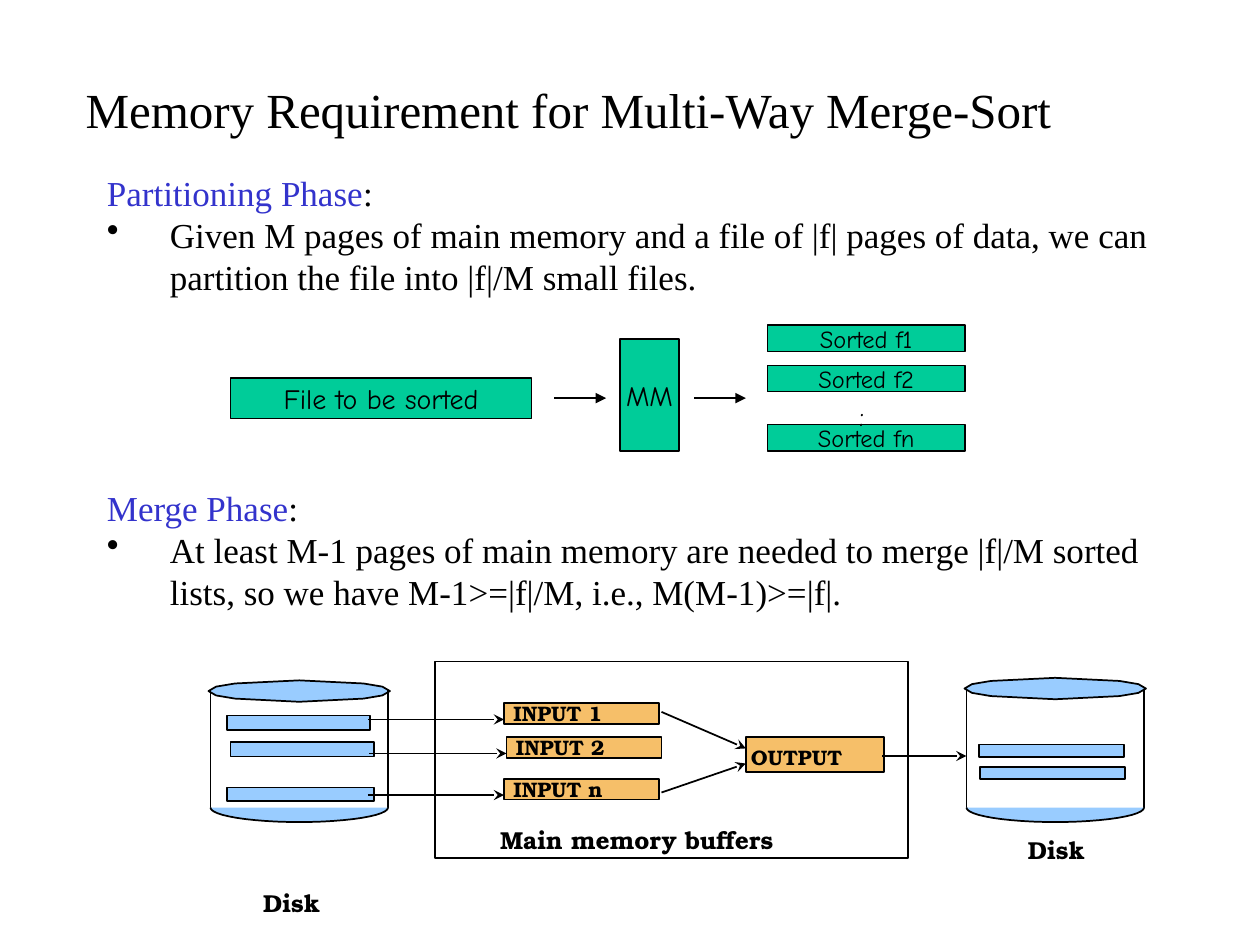
from math import cos, pi, sin
from typing import NamedTuple, Optional

from lxml import etree
from pptx import Presentation
from pptx.dml.color import RGBColor
from pptx.enum.shapes import MSO_CONNECTOR, MSO_SHAPE
from pptx.enum.text import MSO_ANCHOR, MSO_AUTO_SIZE, PP_ALIGN
from pptx.oxml.ns import qn
from pptx.util import Emu, Inches, Pt

RECT = MSO_SHAPE.RECTANGLE
LINE = MSO_CONNECTOR.STRAIGHT
LEFT, MID = PP_ALIGN.LEFT, PP_ALIGN.CENTER
CENTER = MSO_ANCHOR.MIDDLE
FIXED = MSO_AUTO_SIZE.NONE

BLACK = RGBColor(0x00, 0x00, 0x00)
BLUE = RGBColor(0x33, 0x33, 0xCC)
GREEN = RGBColor(0x00, 0xCC, 0x99)
SKY = RGBColor(0x99, 0xCC, 0xFF)
AMBER = RGBColor(0xF6, 0xBF, 0x69)

SERIF, HAND, SLAB = "Times New Roman", "Comic Neue", "TeX Gyre Bonum"

# The slide is a grid of 100 columns by 75 square rows
COLS, ROWS = 100, 75
CELL = Inches(0.1)


class Box(NamedTuple):
    x: float
    y: float
    w: float
    h: float
    text: str = ""
    size: float = 14


class Link(NamedTuple):
    x: float
    y: float
    to_x: float
    to_y: float
    head: Optional[str] = None


class Disk(NamedTuple):
    x: float
    lid: float
    name: Box
    bars: list


def grid(*cells: float) -> list:
    return [Emu(round(cell * CELL)) for cell in cells]


def write(para, text: str, face: str = SERIF, size: float = 20,
          color: RGBColor = BLACK, bold: bool = False, align=LEFT) -> None:
    para.alignment = align
    run = para.add_run()
    run.text = text
    font = run.font
    font.name, font.size, font.bold = face, Pt(size), bold
    font.color.rgb = color


def paint(shape, fill: Optional[RGBColor], width: float) -> None:
    shape.shadow.inherit = False
    if fill is None:
        shape.fill.background()
    else:
        shape.fill.solid()
        shape.fill.fore_color.rgb = fill
    shape.line.color.rgb = BLACK
    shape.line.width = Pt(width)


def block(box: Box, fill: Optional[RGBColor], width: float = 1, inset: float = 0,
          drop: float = 0, **style) -> None:
    shape = slide.shapes.add_shape(RECT, *grid(*box[:4]))
    paint(shape, fill, width)
    if box.text:
        frame = shape.text_frame
        frame.word_wrap = False
        frame.vertical_anchor = CENTER
        frame.margin_left, frame.margin_top = grid(inset, drop)
        frame.margin_right = frame.margin_bottom = 0
        write(frame.paragraphs[0], box.text, size=box.size, **style)


def label(box: Box, wrap: bool = False, **style) -> None:
    frame = slide.shapes.add_textbox(*grid(*box[:4])).text_frame
    frame.word_wrap = wrap
    write(frame.paragraphs[0], box.text, size=box.size, **style)


def link(item: Link, width: float = 1) -> None:
    line = slide.shapes.add_connector(LINE, *grid(*item[:4]))
    line.line.color.rgb = BLACK
    line.line.width = Pt(width)
    props = line._element.spPr
    if item.head:
        etree.SubElement(props.find(qn("a:ln")), qn("a:tailEnd"), type=item.head)
    etree.SubElement(props, qn("a:effectLst"))


def curve(points: list, close: bool) -> None:
    spots = [tuple(grid(*point)) for point in points]
    path = slide.shapes.build_freeform(*spots[0], scale=1.0)
    path.add_line_segments(spots[1:], close=close)
    paint(path.convert_to_shape(), SKY, 1)


def phase(box: Box, name: str) -> None:
    frame = slide.shapes.add_textbox(*grid(*box[:4])).text_frame
    frame.word_wrap = True
    head, item = frame.paragraphs[0], frame.add_paragraph()
    write(head, name, color=BLUE)
    write(head, ":")
    write(item, box.text)
    for para, tag in ((head, "a:buNone"), (item, "a:buChar")):
        props = para._p.get_or_add_pPr()
        props.set("marL", str(Inches(0.5)))
        props.set("indent", str(-Inches(0.5)))
        mark = etree.SubElement(props, qn(tag))
        if para is item:
            mark.set("char", "•")


def draw(disk: Disk) -> None:
    # Lid: a flat twelve-sided ring
    mid = disk.x + 7.05
    ring = [(7.2, 0), (6.6, 0.35), (5.1, 0.6), (0, 0.85),
            (-5.1, 0.6), (-6.6, 0.35), (-7.2, 0)]
    curve([(mid + dx, disk.lid - dy) for dx, dy in ring]
          + [(mid + dx, disk.lid + dy) for dx, dy in ring[-2:0:-1]], True)
    # Walls and rounded base
    for x in (disk.x, disk.x + 14.1):
        link(Link(x, 54.8, x, 64.1))
    steps = 24
    turns = [pi * i / steps for i in range(steps + 1)]
    curve([(mid + 7.05 * cos(t), 64.1 + 1.15 * sin(t)) for t in turns], False)
    for bar in disk.bars:
        block(bar, SKY)
    label(disk.name, face=SLAB, bold=True)


deck = Presentation()
deck.slide_width, deck.slide_height = grid(COLS, ROWS)
slide = deck.slides.add_slide(deck.slide_layouts[5])

# Title
title = slide.shapes.title
title.left, title.top, title.width, title.height = grid(5.8, 5.8, 79.5, 5.7)
title.text_frame.word_wrap = False
title.text_frame.auto_size = FIXED
write(title.text_frame.paragraphs[0],
      "Memory Requirement for Multi-Way Merge-Sort", size=28)

# Text of the two phases
phase(Box(7.5, 13.1, 85.2, 11.1, "Given M pages of main memory and a file of |f| pages "
          "of data, we can partition the file into |f|/M small files."),
      "Partitioning Phase")
phase(Box(7.5, 38.1, 89.2, 11.1, "At least M-1 pages of main memory are needed to merge "
          "|f|/M sorted lists, so we have M-1>=|f|/M, i.e., M(M-1)>=|f|."),
      "Merge Phase")

# Partitioning diagram
parts = [Box(18.3, 30, 23.9, 3.2, "File to be sorted", 16),
         Box(49.2, 26.9, 4.7, 8.9, "MM", 16)]
parts += [Box(60.9, y, 15.7, 2.1, f"Sorted f{key}")
          for y, key in ((25.8, "1"), (29, "2"), (33.7, "n"))]
for part in parts:
    block(part, GREEN, width=0.75, face=HAND, align=MID)
for x in (44, 55.1):
    link(Link(x, 31.6, x + 4.1, 31.6, "triangle"), width=0.75)
label(Box(67.2, 31.1, 2.3, 3.2, ":", 16), face=HAND)

# Disks
draw(Disk(16.7, 54.85, Box(19.9, 70, 6.5, 3.3, "Disk"),
          [Box(18, 56.8, 11.4, 1.15), Box(18.3, 58.9, 11.4, 1.15),
           Box(18, 62.5, 11.7, 1.05)]))
draw(Disk(76.7, 54.65, Box(80.6, 65.8, 6.5, 3.3, "Disk"),
          [Box(77.7, 59.1, 11.5, 1), Box(77.8, 60.9, 11.5, 0.95)]))

# Main memory and its buffers
block(Box(34.5, 52.5, 37.55, 15.6), None)
label(Box(38.7, 65, 29.9, 3.3, "Main memory buffers"), wrap=True, face=SLAB, bold=True)
for x, y, key in ((40, 55.8, "1"), (40.2, 58.5, "2"), (40, 61.8, "n")):
    block(Box(x, y, 12.3, 1.65, f"INPUT {key}", 12), AMBER, inset=0.75,
          face=SLAB, bold=True)
block(Box(59.2, 58.5, 10.95, 2.75, "OUTPUT", 12), AMBER, inset=0.4, drop=0.5,
      face=SLAB, bold=True)

# Flow from disk through memory to disk
for flow in ((29.2, 57.1, 40, 57.1), (29.3, 59.8, 40.2, 59.8), (29.2, 63.1, 40, 63.1),
             (52.5, 56.5, 59.2, 59.4), (52.5, 62.9, 59.2, 60.6), (70, 60, 76.7, 60)):
    link(Link(*flow, "stealth"))

deck.save("out.pptx")
